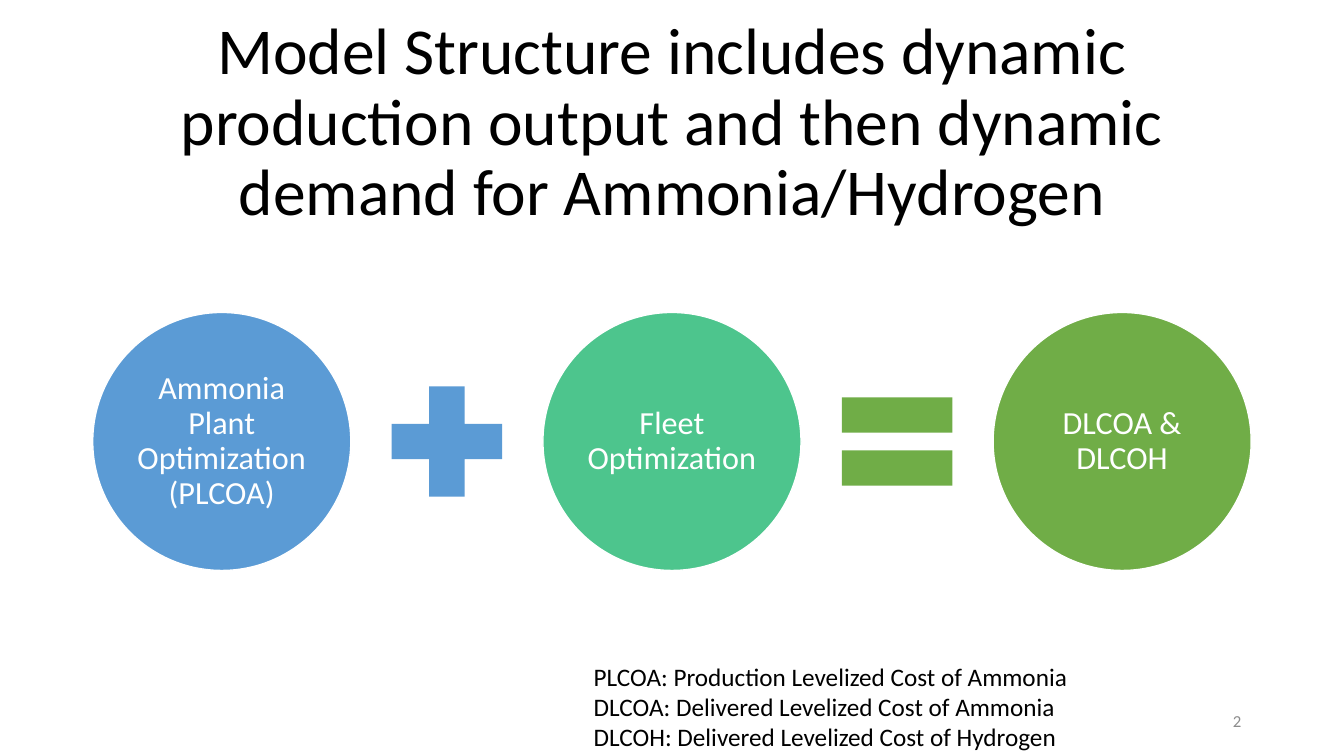
import pptx
import pptx.dml.color
import pptx.enum.shapes
import pptx.enum.text
import pptx.util

Inches = pptx.util.Inches
Shape = pptx.enum.shapes.MSO_SHAPE
Align = pptx.enum.text.PP_ALIGN
Anchor = pptx.enum.text.MSO_ANCHOR

WIDTH, HEIGHT = 13.33, 7.5
MARGIN = 0.92
CIRCLE, SYMBOL = 2.56, 1.49
STEP = (WIDTH - 2 * MARGIN - CIRCLE) / 2  # one column: circle to circle
ROW_MIDDLE = 4.38
WHITE, BLACK, GREY = "FFFFFF", "000000", "8C8C8C"
BLUE, TEAL, GREEN = "5B9BD5", "4DC58D", "70AD47"

# Column, preset shape, colour and label of each term
EQUATION = [
    (0, Shape.OVAL, BLUE, "Ammonia Plant Optimization (PLCOA)"),
    (0.5, Shape.MATH_PLUS, BLUE, ""),
    (1, Shape.OVAL, TEAL, "Fleet Optimization"),
    (1.5, Shape.MATH_EQUAL, GREEN, ""),
    (2, Shape.OVAL, GREEN, "DLCOA & DLCOH"),
]
ABBREVIATIONS = [
    "PLCOA: Production Levelized Cost of Ammonia",
    "DLCOA: Delivered Levelized Cost of Ammonia",
    "DLCOH: Delivered Levelized Cost of Hydrogen",
]


def rgb(value):
    return pptx.dml.color.RGBColor.from_string(value)


def write(frame, lines, size, colour, anchor=Anchor.MIDDLE, wrap=True, **paragraph_format):
    frame.word_wrap = wrap
    frame.vertical_anchor = anchor
    for index, line in enumerate(lines):
        para = frame.add_paragraph() if index else frame.paragraphs[0]
        for name, value in paragraph_format.items():
            setattr(para, name, value)
        span = para.add_run()
        span.text = line
        font = {"name": "Calibri", "size": pptx.util.Pt(size)}
        for name, value in font.items():
            setattr(span.font, name, value)
        span.font.color.rgb = rgb(colour)


def add_text(page, left, top, width, height, lines, size, colour, **text_format):
    box = page.shapes.add_textbox(*map(Inches, (left, top, width, height)))
    write(box.text_frame, lines, size, colour, **text_format)


def add_term(page, column, preset, colour, label):
    size = CIRCLE if preset == Shape.OVAL else SYMBOL
    left = MARGIN + CIRCLE / 2 + column * STEP - size / 2
    top = ROW_MIDDLE - size / 2
    shape = page.shapes.add_shape(preset, *map(Inches, (left, top, size, size)))
    shape.shadow.inherit = False
    shape.fill.solid()
    shape.fill.fore_color.rgb = rgb(colour)
    if not label:
        shape.line.fill.background()
        return
    shape.line.color.rgb = rgb(WHITE)
    shape.line.width = pptx.util.Pt(1)
    for side in ("left", "top", "right", "bottom"):
        setattr(shape.text_frame, f"margin_{side}", Inches(0.03))
    write(shape.text_frame, [label], 23, WHITE, alignment=Align.CENTER, line_spacing=0.9)


def main():
    deck = pptx.Presentation()
    deck.slide_width, deck.slide_height = Inches(WIDTH), Inches(HEIGHT)
    page = deck.slides.add_slide(deck.slide_layouts[6])

    # Title
    title = ("Model Structure includes dynamic production output "
             "and then dynamic demand for Ammonia/Hydrogen")
    add_text(page, MARGIN, 0.61, WIDTH - 2 * MARGIN, 1.24, [title], 46.8, BLACK,
             alignment=Align.CENTER, line_spacing=0.9)

    # Slide number
    add_text(page, WIDTH - MARGIN - 3, 6.95, 3, 0.4, ["2"], 12, GREY,
             alignment=Align.RIGHT, space_after=pptx.util.Pt(6))

    # Equation of circles and symbols
    for term in EQUATION:
        add_term(page, *term)

    # Abbreviations
    add_text(page, 5.79, 6.51, 4.94, 1.31, ABBREVIATIONS, 18, BLACK,
             anchor=Anchor.TOP, wrap=False, alignment=Align.LEFT)

    deck.save("out.pptx")


if __name__ == "__main__":
    main()
